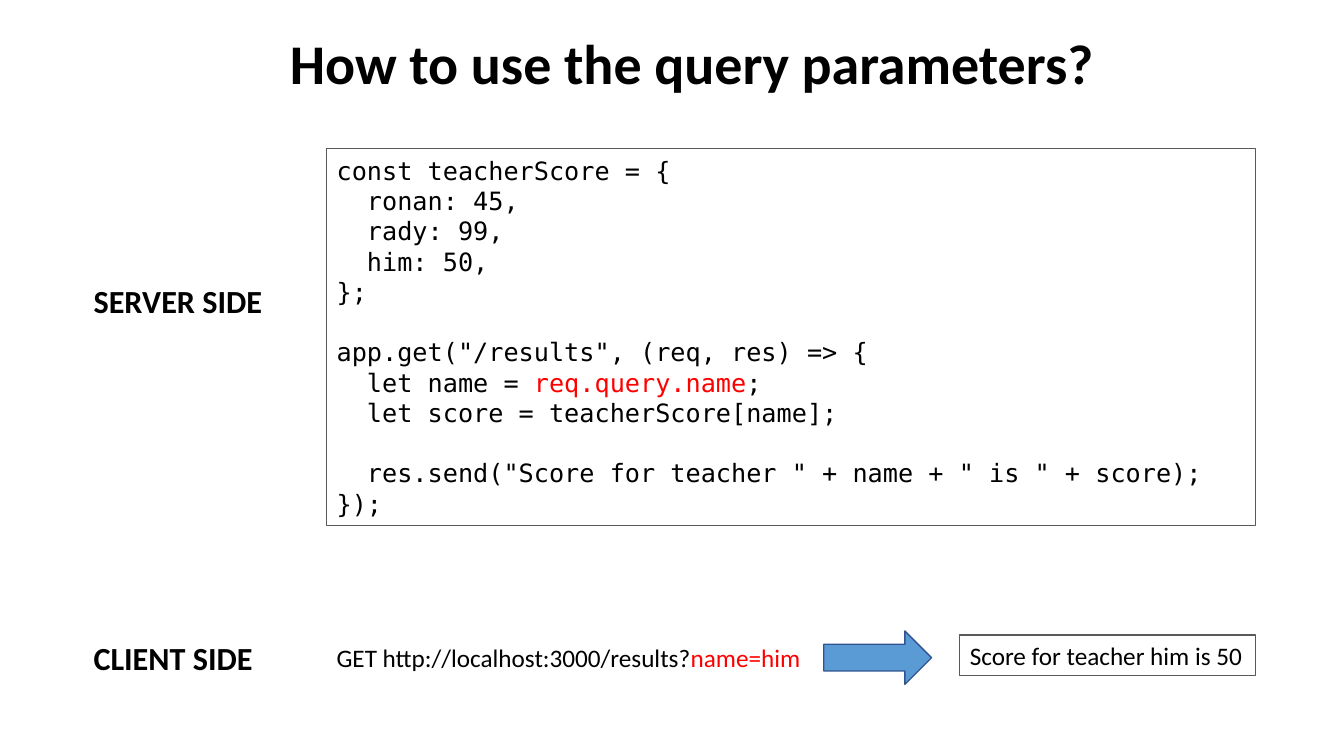
from pptx import Presentation
from pptx.dml.color import RGBColor
from pptx.enum.shapes import MSO_SHAPE
from pptx.enum.text import MSO_ANCHOR, MSO_AUTO_SIZE, PP_ALIGN
from pptx.util import Inches, Pt

SANS, MONO = "Calibri", "DejaVu Sans Mono"
BLACK, RED, GRAY = "000000", "FF0000", "595959"
BLUE, NAVY = "5B9BD5", "31538F"
PITCH = Pt(21.6)

# Each code line is a list of runs; an empty list is a blank line
CODE = [
    [("const teacherScore = {", BLACK)],
    [("  ronan: 45,", BLACK)],
    [("  rady: 99,", BLACK)],
    [("  him: 50,", BLACK)],
    [("};", BLACK)],
    [],
    [('app.get("/results", (req, res) => {', BLACK)],
    [("  let name = ", BLACK), ("req.query.name", RED), (";", BLACK)],
    [("  let score = teacherScore[name];", BLACK)],
    [],
    [('  res.send("Score for teacher " + name + " is " + score);', BLACK)],
    [("});", BLACK)],
]


def color(code):
    return RGBColor.from_string(code)


def add_runs(para, runs, size, font=SANS, bold=False):
    for text, tint in runs:
        run = para.add_run()
        run.text = text
        run.font.name = font
        run.font.size = Pt(size)
        run.font.bold = bold
        run.font.color.rgb = color(tint)


def set_frame(shape, wrap=True):
    frame = shape.text_frame
    frame.word_wrap = wrap
    frame.auto_size = MSO_AUTO_SIZE.NONE
    frame.vertical_anchor = MSO_ANCHOR.MIDDLE
    frame.paragraphs[0].alignment = PP_ALIGN.LEFT
    return frame


def add_title(slide, text, box):
    title = slide.shapes.title
    title.left, title.top, title.width, title.height = map(Inches, box)
    para = set_frame(title).paragraphs[0]
    para.alignment = PP_ALIGN.CENTER
    add_runs(para, [(text, BLACK)], 40, bold=True)


def add_label(slide, runs, box, size, bold=False):
    label = slide.shapes.add_textbox(*map(Inches, box))
    add_runs(set_frame(label, False).paragraphs[0], runs, size, bold=bold)


def add_form(slide, kind, box, line, width, fill=None):
    form = slide.shapes.add_shape(kind, *map(Inches, box))
    form.shadow.inherit = False
    form.line.color.rgb = color(line)
    form.line.width = Pt(width)
    if fill:
        form.fill.solid()
        form.fill.fore_color.rgb = color(fill)
    else:
        form.fill.background()
    return form


def add_code(slide, lines, box):
    panel = add_form(slide, MSO_SHAPE.RECTANGLE, box, GRAY, 0.75)
    frame = set_frame(panel)
    para, gap = frame.paragraphs[0], 0
    for i, runs in enumerate(lines):
        if not runs:
            gap = PITCH
            continue
        if i:
            para = frame.add_paragraph()
        para.alignment = PP_ALIGN.LEFT
        para.line_spacing = PITCH
        para.space_before = gap
        add_runs(para, runs, 18, MONO)
        gap = 0


def main():
    deck = Presentation()
    deck.slide_width, deck.slide_height = Inches(13.33), Inches(7.5)
    slide = deck.slides.add_slide(deck.slide_layouts[5])
    add_title(slide, "How to use the query parameters?", (2.73, 0.23, 8.26, 0.77))

    # Server side
    add_label(slide, [("SERVER SIDE", BLACK)], (0.83, 2.74, 1.89, 0.49), 23, True)
    add_code(slide, CODE, (3.24, 1.47, 9.21, 3.74))

    # Client side: request, arrow, response
    add_label(slide, [("CLIENT SIDE", BLACK)], (0.83, 6.28, 1.8, 0.49), 23, True)
    request = [("GET http://localhost:3000/results?", BLACK), ("name=him", RED)]
    add_label(slide, request, (3.24, 6.32, 4.86, 0.4), 18)
    add_form(slide, MSO_SHAPE.RIGHT_ARROW, (8.17, 6.26, 1.07, 0.53), NAVY, 1, BLUE)
    reply = add_form(slide, MSO_SHAPE.RECTANGLE, (9.52, 6.3, 2.93, 0.4), GRAY, 0.75)
    add_runs(set_frame(reply).paragraphs[0],
             [("Score for teacher him is 50", BLACK)], 18)

    deck.save("out.pptx")


if __name__ == "__main__":
    main()
